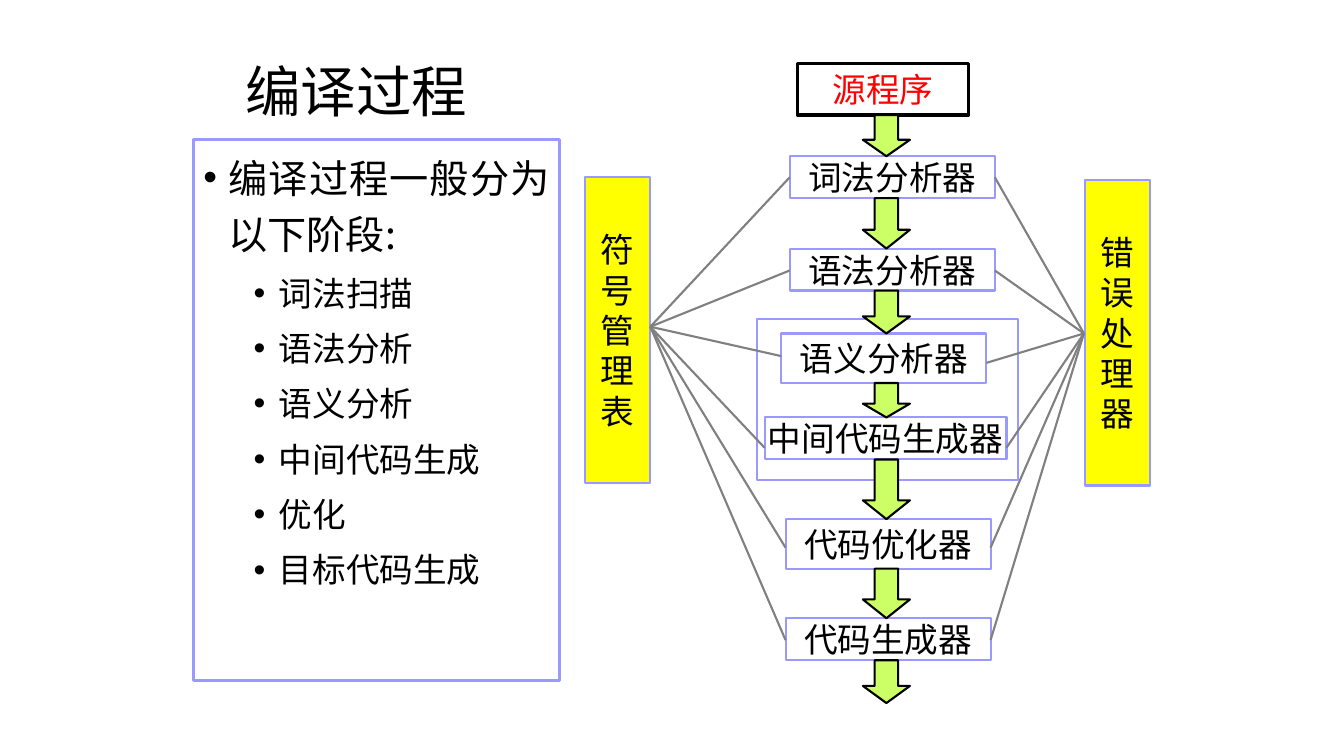
from lxml import etree
from pptx import Presentation
from pptx.dml.color import RGBColor
from pptx.enum.shapes import MSO_CONNECTOR as Link, MSO_SHAPE as Kind
from pptx.enum.text import MSO_ANCHOR as Anchor, MSO_AUTO_SIZE as Fit, PP_ALIGN as Align
from pptx.oxml.ns import qn
from pptx.util import Inches, Pt

CELL = 1 / 12
CJK, SANS, SERIF = "Noto Sans CJK SC", "Calibri", "Times New Roman"
BLACK, WHITE, RED, BLUE = "000000", "FFFFFF", "FF0000", "9999FF"
YELLOW, LIME, GRAY = "FFFF00", "CCFF66", "808080"

TITLE = "编译过程"
LEAD = "编译过程一般分为以下阶段:"
STEPS = ["词法扫描", "语法分析", "语义分析", "中间代码生成", "优化", "目标代码生成"]
STAGES = [
    ("词法分析器", 94, 18.6, 24.4, 5, 21.1, 21.1),
    ("语法分析器", 94, 29.6, 24.4, 5, 32.2, 32.2),
    ("语义分析器", 93, 39.7, 24.4, 5.9, 42.4, 43.2),
    ("中间代码生成器", 91, 49.7, 28.8, 5, 53.3, 53.3),
    ("代码优化器", 93.5, 61.8, 24.4, 5.9, 65.2, 65.2),
    ("代码生成器", 93.5, 73.6, 24.4, 5, 76.2, 76.2),
]
SOURCE = (94.9, 7.6, 20.4, 6.1)
LEFT_HUB, RIGHT_HUB = (77.4, 38.9), (129, 39.7)
END = 83.7


def grid(*cells):
    """Turn grid columns and rows into lengths."""
    return [Inches(n * CELL) for n in cells]


def color(code):
    """Turn a hex string into a colour."""
    return RGBColor.from_string(code)


def paint(shape, fill, line, width):
    """Set the fill and outline of a shape."""
    shape.fill.solid()
    shape.fill.fore_color.rgb = color(fill)
    shape.line.color.rgb = color(line)
    shape.line.width = Pt(width)


def place(shape, *cells):
    """Move a placeholder to its cells."""
    shape.left, shape.top, shape.width, shape.height = grid(*cells)


def write(para, text, size, face, ink=BLACK, east=None):
    """Add one formatted run to a paragraph."""
    run = para.add_run()
    run.text = text
    run.font.size, run.font.name = Pt(size), face
    run.font.color.rgb = color(ink)
    if east:
        etree.SubElement(run.font._element, qn("a:ea"), typeface=east)


def bullet(para, level):
    """Give a list paragraph its bullet, indent and spacing."""
    props = para._p.get_or_add_pPr()
    props.set("marL", str(Inches(0.25 + level / 2)))
    props.set("indent", str(Inches(-0.25)))
    etree.SubElement(props, qn("a:buFont"), typeface="Arial")
    etree.SubElement(props, qn("a:buChar"), char="•")
    para.level, para.alignment = level, Align.JUSTIFY
    para.line_spacing = 1.2
    para.space_before = Pt(5 * level)


def head(slide):
    """Fill the title placeholder."""
    title = slide.shapes.title
    place(title, 28, 7.5, 36.8, 7.5)
    frame = title.text_frame
    frame.auto_size, frame.vertical_anchor = Fit.NONE, Anchor.MIDDLE
    para = frame.paragraphs[0]
    para.alignment, para.line_spacing = Align.LEFT, 0.9
    write(para, TITLE, 39.6, CJK, east=CJK)


def outline(slide):
    """Fill the body placeholder with the list of steps."""
    body = slide.placeholders[1]
    place(body, 23, 16.6, 43.6, 64.4)
    paint(body, WHITE, BLUE, 2.25)
    frame = body.text_frame
    frame.auto_size, frame.vertical_anchor = Fit.NONE, Anchor.TOP
    bullet(frame.paragraphs[0], 0)
    write(frame.paragraphs[0], LEAD, 28, CJK, east=CJK)
    for step in STEPS:
        para = frame.add_paragraph()
        bullet(para, 1)
        write(para, step, 24, SANS, east=CJK)


def box(slide, lines, cells, fill=WHITE, line=BLUE, width=1.5, ink=BLACK):
    """Draw a box with centred lines of text."""
    shape = slide.shapes.add_shape(Kind.RECTANGLE, *grid(*cells))
    shape.shadow.inherit = False
    paint(shape, fill, line, width)
    frame = shape.text_frame
    frame.word_wrap, frame.vertical_anchor = False, Anchor.MIDDLE
    for i, text in enumerate(lines):
        para = frame.add_paragraph() if i else frame.paragraphs[0]
        para.alignment = Align.CENTER
        write(para, text, 24, SERIF, ink)


def arrow(slide, top, foot):
    """Draw a block arrow down the flow."""
    shape = slide.shapes.add_shape(Kind.DOWN_ARROW, *grid(102.7, top, 5.6, foot - top))
    shape.shadow.inherit = False
    shape.adjustments[1] = 0.4
    paint(shape, LIME, BLACK, 1.5)


def link(slide, start, end):
    """Draw a thin line between two points."""
    line = slide.shapes.add_connector(Link.STRAIGHT, *grid(*start, *end))
    line.line.color.rgb = color(GRAY)
    line.line.width = Pt(1.5)
    etree.SubElement(line._element.spPr, qn("a:effectLst"))


def flow(slide):
    """Draw the stages, their arrows and their links."""
    box(slide, [], (90.1, 38, 31.1, 19.2))
    box(slide, ["源程序"], SOURCE, line=BLACK, width=2.25, ink=RED)
    box(slide, "错误处理器", (129.1, 21.4, 7.8, 36.4), YELLOW)
    box(slide, "符号管理表", (69.6, 21.1, 7.8, 36.4), YELLOW)
    for name, *cells, _, _ in STAGES:
        box(slide, [name], cells)
    feet = [SOURCE[1] + SOURCE[3]] + [top + high for _, _, top, _, high, _, _ in STAGES]
    tops = [stage[2] for stage in STAGES] + [END]
    for foot, top in zip(feet, tops):
        arrow(slide, foot, top)
    for _, left, _, wide, _, near, far in STAGES:
        link(slide, (left, near), LEFT_HUB)
        link(slide, (left + wide, far), RIGHT_HUB)


def main():
    """Build and save the slide."""
    deck = Presentation()
    deck.slide_width, deck.slide_height = Inches(13.33), Inches(7.5)
    slide = deck.slides.add_slide(deck.slide_layouts[1])
    head(slide)
    outline(slide)
    flow(slide)
    deck.save("out.pptx")


if __name__ == "__main__":
    main()
